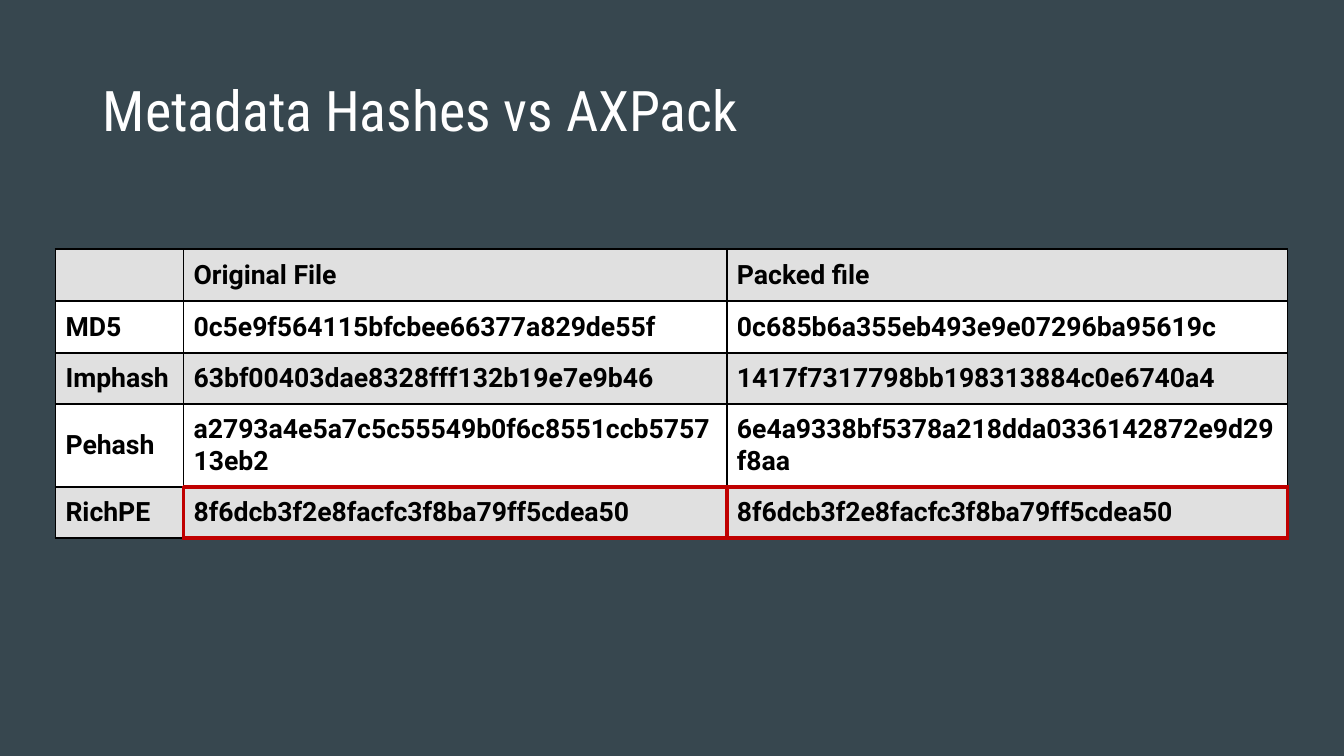
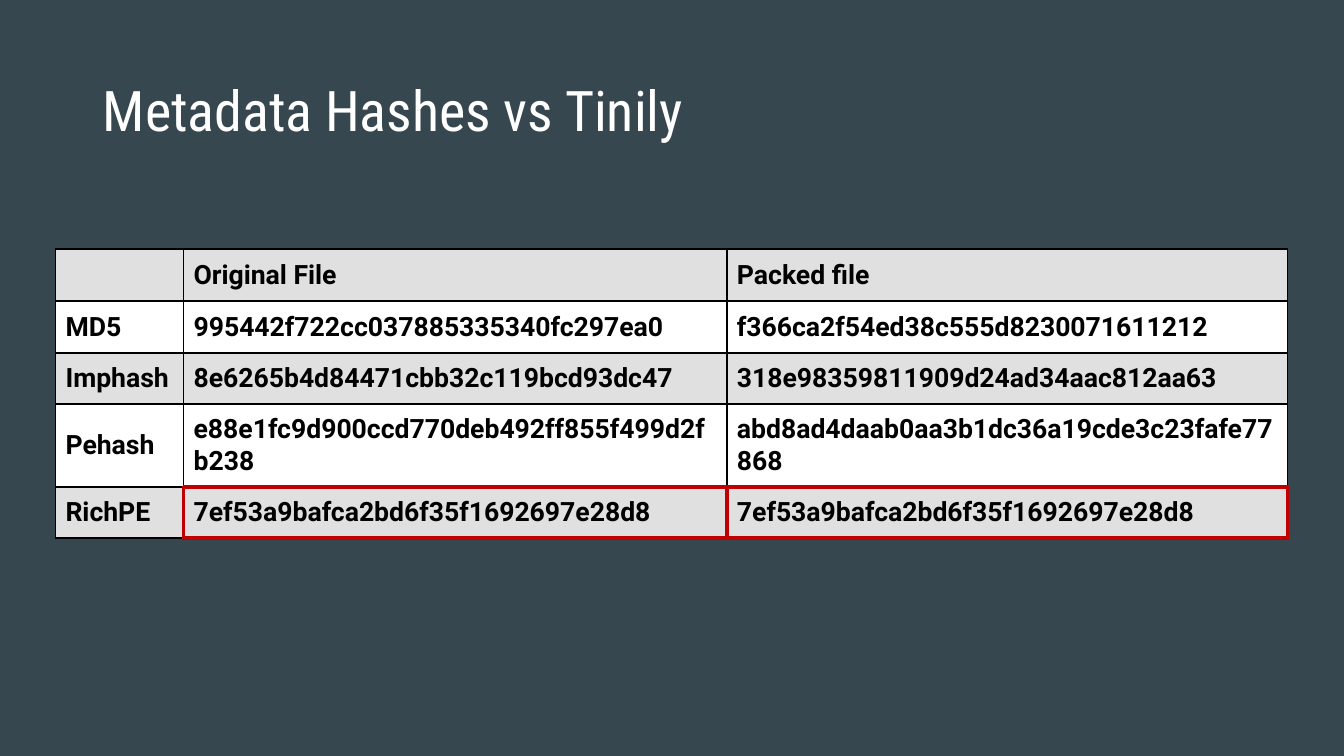
from lxml import etree
from pptx import Presentation
from pptx.dml.color import RGBColor
from pptx.enum.text import MSO_ANCHOR, MSO_AUTO_SIZE, PP_ALIGN
from pptx.oxml.ns import qn
from pptx.util import Inches, Pt

MID = MSO_ANCHOR.MIDDLE
LEFT = PP_ALIGN.LEFT
FIXED = MSO_AUTO_SIZE.NONE
WIDE, HIGH = Inches(13.33), Inches(7.5)
SLATE, WHITE, GREY, BLACK, RED = "37474F", "FFFFFF", "E0E0E0", "000000", "C00000"
HEAD = ["", "Original File", "Packed file"]
KINDS = ["MD5", "Imphash", "Pehash", "RichPE"]
COLS = [9.53, 40.43, 41.71]
ROWS = [6.93, 6.8, 6.8, 10.93, 6.8]
SIDES = {"L": (0, -1), "R": (0, 1), "T": (-1, 0), "B": (1, 0)}
DECK = [
    ("Metadata Hashes vs AXPack", [
        ("0c5e9f564115bfcbee66377a829de55f", "0c685b6a355eb493e9e07296ba95619c"),
        ("63bf00403dae8328fff132b19e7e9b46", "1417f7317798bb198313884c0e6740a4"),
        ("a2793a4e5a7c5c55549b0f6c8551ccb575713eb2",
         "6e4a9338bf5378a218dda0336142872e9d29f8aa"),
        ("8f6dcb3f2e8facfc3f8ba79ff5cdea50", "8f6dcb3f2e8facfc3f8ba79ff5cdea50"),
    ]),
    ("Metadata Hashes vs Tinily", [
        ("995442f722cc037885335340fc297ea0", "f366ca2f54ed38c555d8230071611212"),
        ("8e6265b4d84471cbb32c119bcd93dc47", "318e98359811909d24ad34aac812aa63"),
        ("e88e1fc9d900ccd770deb492ff855f499d2fb238",
         "abd8ad4daab0aa3b1dc36a19cde3c23fafe77868"),
        ("7ef53a9bafca2bd6f35f1692697e28d8", "7ef53a9bafca2bd6f35f1692697e28d8"),
    ]),
]


def across(share):
    """Turn a percentage of the slide width into a length."""
    return int(WIDE * share / 100)


def down(share):
    """Turn a percentage of the slide height into a length."""
    return int(HIGH * share / 100)


def paint(fill, tint):
    """Make a fill solid in the given hex colour."""
    fill.solid()
    fill.fore_color.rgb = RGBColor.from_string(tint)


def add_run(para, text, face, size, tint, bold=False):
    """Add one formatted run to a paragraph."""
    run = para.add_run()
    run.text = text
    font = run.font
    font.name, font.size, font.bold = face, Pt(size), bold
    font.color.rgb = RGBColor.from_string(tint)


def set_base(deck):
    """Set the shared background and title place, and return the layout."""
    paint(deck.slide_master.background.fill, SLATE)
    base = deck.slide_layouts[5]
    title = next(p for p in base.placeholders if p.placeholder_format.idx == 0)
    title.left, title.top = across(6.9), down(5.33)
    title.width, title.height = across(86.25), down(19.33)
    frame = title.text_frame
    frame.vertical_anchor, frame.auto_size = MID, FIXED
    return base


def add_title(slide, text):
    """Fill the title placeholder."""
    para = slide.shapes.title.text_frame.paragraphs[0]
    para.alignment, para.line_spacing = LEFT, 0.9
    add_run(para, text, "Roboto Condensed", 40, WHITE)


def is_hot(row, col):
    """Tell whether a cell belongs to the framed hashes."""
    return row == len(KINDS) and 0 < col < len(COLS)


def add_edge(cell, side, tint, width):
    """Draw one border of a cell."""
    props = cell._tc.get_or_add_tcPr()
    line = etree.SubElement(props, qn("a:ln" + side), w=str(Pt(width)))
    fill = etree.SubElement(line, qn("a:solidFill"))
    etree.SubElement(fill, qn("a:srgbClr"), val=tint)


def fill_cell(cell, row, col, text):
    """Give a cell its borders, fill and text."""
    for side, (drow, dcol) in SIDES.items():
        hot = is_hot(row, col) or is_hot(row + drow, col + dcol)
        add_edge(cell, side, *((RED, 3) if hot else (BLACK, 1.5)))
    paint(cell.fill, WHITE if row % 2 else GREY)
    cell.vertical_anchor = MID
    cell.margin_left = cell.margin_right = Inches(0.1)
    cell.margin_top = cell.margin_bottom = Inches(0.1)
    if text:
        para = cell.text_frame.paragraphs[0]
        para.space_before = para.space_after = Pt(5)
        add_run(para, text, "Roboto", 19, BLACK, True)


def add_grid(slide, pairs):
    """Add the table that compares the hashes."""
    data = [HEAD] + [[kind, *pair] for kind, pair in zip(KINDS, pairs)]
    grid = slide.shapes.add_table(
        len(ROWS), len(COLS), across(4.13), down(32.93),
        across(sum(COLS)), down(sum(ROWS))).table
    grid.first_row = grid.horz_banding = False
    for col, share in zip(grid.columns, COLS):
        col.width = across(share)
    for row, share in zip(grid.rows, ROWS):
        row.height = down(share)
    for row, texts in enumerate(data):
        for col, text in enumerate(texts):
            fill_cell(grid.cell(row, col), row, col, text)


def main():
    """Build and save the deck."""
    deck = Presentation()
    deck.slide_width, deck.slide_height = WIDE, HIGH
    base = set_base(deck)
    for title, pairs in DECK:
        slide = deck.slides.add_slide(base)
        add_title(slide, title)
        add_grid(slide, pairs)
    deck.save("out.pptx")


if __name__ == "__main__":
    main()
